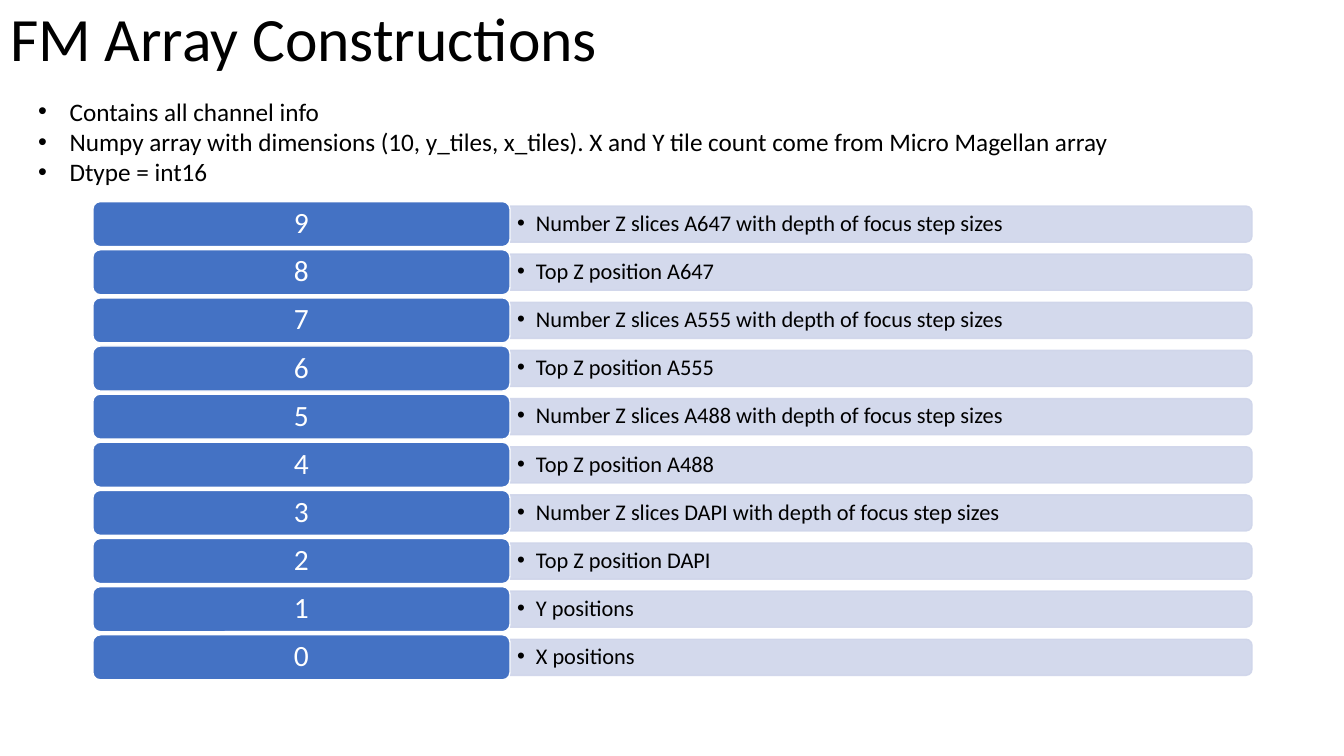
from lxml import etree
from pptx import Presentation
from pptx.dml.color import RGBColor
from pptx.enum.shapes import MSO_SHAPE
from pptx.enum.text import MSO_ANCHOR, MSO_AUTO_SIZE, PP_ALIGN
from pptx.oxml.ns import qn
from pptx.util import Pt

TITLE = "FM Array Constructions"
NOTES = [
    "Contains all channel info",
    "Numpy array with dimensions (10, y_tiles, x_tiles). X and Y tile count come from Micro Magellan array",
    "Dtype = int16",
]
CHANNELS = ["A647", "A555", "A488", "DAPI"]
ROWS = []
for channel in CHANNELS:
    ROWS.append(f"Number Z slices {channel} with depth of focus step sizes")
    ROWS.append(f"Top Z position {channel}")
ROWS += ["Y positions", "X positions"]

FONT = "Calibri"
BLACK = RGBColor(0x00, 0x00, 0x00)
WHITE = RGBColor(0xFF, 0xFF, 0xFF)
BLUE = RGBColor(0x44, 0x72, 0xC4)
PALE_BLUE = RGBColor(0xCF, 0xD5, 0xEA)
ROUNDED = MSO_SHAPE.ROUNDED_RECTANGLE
ROUNDED_END = MSO_SHAPE.ROUND_2_SAME_RECTANGLE
LEFT, CENTER = PP_ALIGN.LEFT, PP_ALIGN.CENTER
TOP, MIDDLE = MSO_ANCHOR.TOP, MSO_ANCHOR.MIDDLE
NO_AUTOFIT = MSO_AUTO_SIZE.NONE

TILE_LEFT, TILE_TOP, TILE_WIDTH, TILE_HEIGHT = 66.3, 144, 298, 32.2
ROW_PITCH = 34.38
BAR_LEFT, BAR_WIDTH, BAR_HEIGHT = TILE_LEFT + TILE_WIDTH, 530, 25.8


def place(shape, left, top, width, height):
    shape.left, shape.top = Pt(left), Pt(top)
    shape.width, shape.height = Pt(width), Pt(height)


def style_frame(frame, anchor, side_inset, end_inset, wrap=True):
    frame.auto_size = NO_AUTOFIT
    frame.word_wrap = wrap
    frame.vertical_anchor = anchor
    frame.margin_left = frame.margin_right = Pt(side_inset)
    frame.margin_top = frame.margin_bottom = Pt(end_inset)


def write(paragraph, text, size, color, align=LEFT, spacing=0.9, indent=None):
    paragraph.text = text
    if indent:
        properties = paragraph._p.get_or_add_pPr()
        properties.set("marL", str(Pt(indent)))
        properties.set("indent", str(-Pt(indent)))
        etree.SubElement(properties, qn("a:buFont")).set("typeface", "Arial")
        etree.SubElement(properties, qn("a:buChar")).set("char", "•")
    paragraph.alignment = align
    paragraph.line_spacing = spacing
    paragraph.space_before = Pt(0)
    paragraph.font.name = FONT
    paragraph.font.size = Pt(size)
    paragraph.font.color.rgb = color


def add_block(shapes, preset, box, fill, line):
    shape = shapes.add_shape(preset, *map(Pt, box))
    shape.shadow.inherit = False
    shape.fill.solid()
    shape.fill.fore_color.rgb = fill
    shape.line.color.rgb = line
    shape.line.width = Pt(1)
    return shape


def add_row(shapes, position, label):
    tile_top = TILE_TOP + position * ROW_PITCH
    middle = tile_top + TILE_HEIGHT / 2

    upright_box = (BAR_LEFT + (BAR_WIDTH - BAR_HEIGHT) / 2, middle - BAR_WIDTH / 2,
                   BAR_HEIGHT, BAR_WIDTH)
    bar = add_block(shapes, ROUNDED_END, upright_box, PALE_BLUE, PALE_BLUE)
    bar.rotation = 90
    for color in bar.element.spPr.iter(qn("a:srgbClr")):
        etree.SubElement(color, qn("a:alpha")).set("val", "90000")

    caption = shapes.add_textbox(Pt(BAR_LEFT), Pt(middle - BAR_HEIGHT / 2),
                                 Pt(BAR_WIDTH), Pt(BAR_HEIGHT))
    style_frame(caption.text_frame, MIDDLE, 5, 2.2)
    write(caption.text_frame.paragraphs[0], label, 16, BLACK, indent=13.5)

    tile = add_block(shapes, ROUNDED, (TILE_LEFT, tile_top, TILE_WIDTH, TILE_HEIGHT),
                     BLUE, WHITE)
    style_frame(tile.text_frame, MIDDLE, 6.5, 3)
    index = str(len(ROWS) - 1 - position)
    write(tile.text_frame.paragraphs[0], index, 21, WHITE, align=CENTER)


def main():
    presentation = Presentation()
    presentation.slide_width, presentation.slide_height = Pt(960), Pt(540)
    slide = presentation.slides.add_slide(presentation.slide_layouts[1])

    title, body = slide.shapes.title, slide.placeholders[1]
    place(title, 0, 0, 828, 59)
    style_frame(title.text_frame, MIDDLE, 7.2, 3.6)
    write(title.text_frame.paragraphs[0], TITLE, 44, BLACK)

    for position, label in enumerate(ROWS):
        add_row(slide.shapes, position, label)

    place(body, 20, 65, 788, 72.7)
    frame = body.text_frame
    style_frame(frame, TOP, 7.2, 3.6, wrap=False)
    for position, note in enumerate(NOTES):
        paragraph = frame.add_paragraph() if position else frame.paragraphs[0]
        write(paragraph, note, 18, BLACK, spacing=1.0, indent=22.5)

    presentation.save("out.pptx")


if __name__ == "__main__":
    main()
